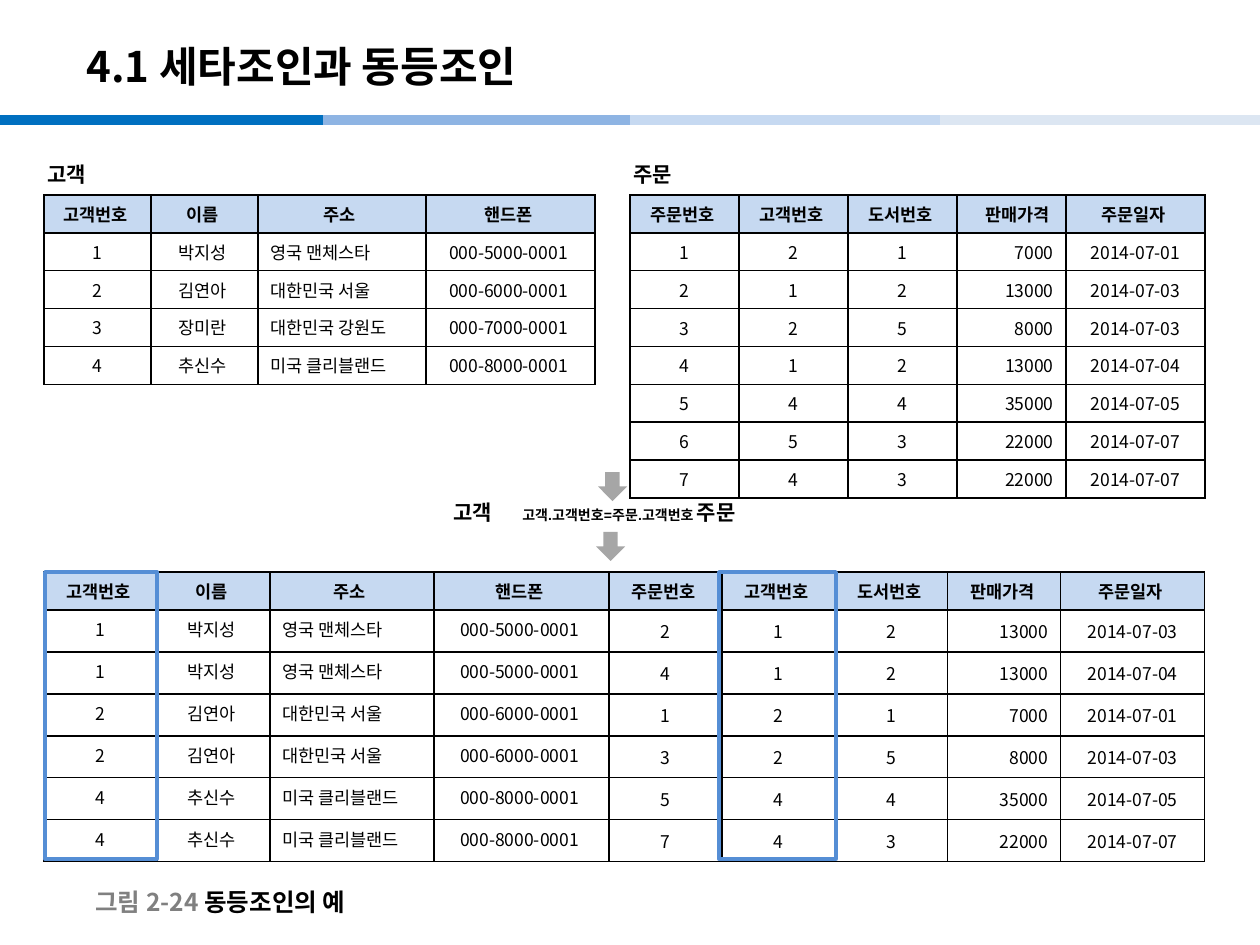
"""Builds the slide on theta join and equijoin."""
from lxml import etree
from pptx import Presentation
from pptx.dml.color import RGBColor
from pptx.enum.shapes import MSO_CONNECTOR, MSO_SHAPE
from pptx.enum.text import MSO_ANCHOR, MSO_AUTO_SIZE, PP_ALIGN
from pptx.oxml.ns import qn
from pptx.util import Pt

EMU = 914400 / 126
LINE, RECT, ARROW = MSO_CONNECTOR.STRAIGHT, MSO_SHAPE.RECTANGLE, MSO_SHAPE.DOWN_ARROW
TOP, MID = MSO_ANCHOR.TOP, MSO_ANCHOR.MIDDLE
GROW, FIXED = MSO_AUTO_SIZE.SHAPE_TO_FIT_TEXT, MSO_AUTO_SIZE.NONE
ALIGN = {"l": PP_ALIGN.LEFT, "c": PP_ALIGN.CENTER, "r": PP_ALIGN.RIGHT}
BLACK = RGBColor(0x00, 0x00, 0x00)
WHITE = RGBColor(0xFF, 0xFF, 0xFF)
GRAY = RGBColor(0x80, 0x80, 0x80)
SILVER = RGBColor(0xA6, 0xA6, 0xA6)
FRAME = RGBColor(0x55, 0x8E, 0xD5)
DEEP = RGBColor(0x00, 0x70, 0xC0)
BLUE = RGBColor(0x8E, 0xB4, 0xE3)
PALE = RGBColor(0xC6, 0xD9, 0xF1)
FAINT = RGBColor(0xDC, 0xE6, 0xF2)
NOTO, ARIAL = "Noto Sans CJK KR", "Arial"

CLIENT_HEAD = ("고객번호 ", "이름 ", "주소 ", "핸드폰 ")
CLIENTS = (
    ("1", "박지성 ", "영국 맨체스타", "000-5000-0001 "),
    ("2", "김연아 ", "대한민국 서울", "000-6000-0001 "),
    ("3", "장미란 ", "대한민국 강원도", "000-7000-0001 "),
    ("4", "추신수 ", "미국 클리블랜드", "000-8000-0001 "),
)
ORDER_HEAD = ("주문번호 ", "고객번호 ", "도서번호 ", "판매가격 ", "주문일자 ")
ORDERS = (
    ("1", "2", "1", "7000", "2014-07-01"),
    ("2", "1", "2", "13000", "2014-07-03"),
    ("3", "2", "5", "8000", "2014-07-03"),
    ("4", "1", "2", "13000", "2014-07-04"),
    ("5", "4", "4", "35000", "2014-07-05"),
    ("6", "5", "3", "22000", "2014-07-07"),
    ("7", "4", "3", "22000", "2014-07-07"),
)
JOINED = [who + buy for who in CLIENTS for buy in ORDERS if who[0] == buy[1]]


def px(*nums):
    """Turn px lengths into EMU."""
    return [round(num * EMU) for num in nums]


class Page:
    """Holds the style and the current slide."""

    def __init__(self, deck):
        """Add a blank slide."""
        self.slide = deck.slides.add_slide(deck.slide_layouts[6])
        self.shapes = self.slide.shapes

    def style(self, para, font, size=None, bold=True, color=None):
        """Set the font of a paragraph."""
        para.font.name = font
        para.font.bold = bold
        if size:
            para.font.size = Pt(size)
        if color is not None:
            para.font.color.rgb = color

    def text(self, box, runs, font, anchor=TOP, wrap=False, fit=FIXED, tab=None):
        """Add a bold line of (text, size, color) runs."""
        frame = self.shapes.add_textbox(*px(*box)).text_frame
        frame.word_wrap = wrap
        frame.auto_size = fit
        frame.vertical_anchor = anchor
        para = frame.paragraphs[0]
        if tab:
            stops = etree.SubElement(para._p.get_or_add_pPr(), qn("a:tabLst"))
            etree.SubElement(stops, qn("a:tab"), pos=str(px(tab)[0]), algn="l")
        sizes = {size for _, size, _ in runs}
        colors = {color for _, _, color in runs}
        one_size, one_color = len(sizes) == 1, len(colors) == 1
        self.style(para, font, runs[0][1] if one_size else None,
                   color=runs[0][2] if one_color else None)
        for words, size, color in runs:
            run = para.add_run()
            run.text = words
            if not one_size:
                run.font.size = Pt(size)
            if not one_color:
                run.font.color.rgb = color

    def line(self, left, right, y, color, width):
        """Add a level line."""
        line = self.shapes.add_connector(LINE, *px(left, y, right, y))
        line.line.color.rgb = color
        line.line.width = Pt(width)
        etree.SubElement(line._element.spPr, qn("a:effectLst"))

    def shape(self, kind, box, fill=None, edge=None):
        """Add a shape with a fill or an edge."""
        shape = self.shapes.add_shape(kind, *px(*box))
        shape.shadow.inherit = False
        if fill is None:
            shape.fill.background()
        else:
            shape.fill.solid()
            shape.fill.fore_color.rgb = fill
        if edge is None:
            shape.line.fill.background()
        else:
            shape.line.color.rgb = edge
            shape.line.width = Pt(2)

    def border(self, cell):
        """Draw thin black lines around a cell."""
        props = cell._tc.get_or_add_tcPr()
        for side in ("lnL", "lnR", "lnT", "lnB"):
            edge = etree.SubElement(props, qn(f"a:{side}"), w=str(Pt(1)))
            fill = etree.SubElement(edge, qn("a:solidFill"))
            etree.SubElement(fill, qn("a:srgbClr"), val=str(BLACK))

    def cell(self, cell, words, font, align, anchor, head):
        """Fill and style one cell."""
        self.border(cell)
        cell.fill.solid()
        cell.fill.fore_color.rgb = PALE if head else WHITE
        cell.vertical_anchor = anchor
        cell.text = words
        para = cell.text_frame.paragraphs[0]
        para.alignment = ALIGN[align]
        self.style(para, font, 10, head, BLACK)

    def table(self, spot, cols, high, head, body, aligns, heads, keys=(0,), tops=0):
        """Add a table; the first tops columns hang from the top."""
        rows = [head, *body]
        tall = [high[0]] + [high[1]] * len(body)
        box = px(*spot, sum(cols), sum(tall))
        grid = self.shapes.add_table(len(rows), len(cols), *box).table
        grid.first_row = grid.horz_banding = False
        for col, wide in zip(grid.columns, cols):
            col.width = px(wide)[0]
        for r, row in enumerate(rows):
            grid.rows[r].height = px(tall[r])[0]
            for c, words in enumerate(row):
                noto = c in keys if r == 0 else words.isascii()
                self.cell(grid.cell(r, c), words, NOTO if noto else ARIAL,
                          aligns[c] if r else heads[c],
                          TOP if r and c < tops else MID, r == 0)


def main():
    """Build and save the slide."""
    deck = Presentation()
    deck.slide_width, deck.slide_height = px(1260, 945)
    page = Page(deck)

    bars = ((0, 323, DEEP), (323, 645, BLUE), (630, 953, PALE), (940, 1260, FAINT))
    for left, right, color in bars:
        page.line(left, right, 120, color, 6)
    page.text((74, 28, 1042, 76), [("4.1 세타조인과 동등조인", 24, BLACK)],
              NOTO, MID, True)

    page.table((44, 195), (107, 107, 168, 169), (30, 30), CLIENT_HEAD, CLIENTS,
               "cclc", "cccc", tops=4)
    page.table((630, 195), (109, 109, 109, 109, 139), (31, 34), ORDER_HEAD, ORDERS,
               "cccrc", "cccrc")
    page.table((44, 572), (113, 113, 164, 175, 113, 113, 113, 113, 144), (26, 42),
               CLIENT_HEAD + ORDER_HEAD, JOINED, "cclccccrc", "c" * 9, (0, 4), 4)

    for left, name in ((35, "고객"), (621, "주문")):
        page.text((left, 155, 68, 38), [(name, 12, BLACK)], ARIAL, fit=GROW)
    for left, top in ((596, 532), (598, 472)):
        page.shape(ARROW, (left, top, 29, 29), fill=SILVER)
    page.text((441, 493, 340, 38),
              [("고객\t", 12, BLACK), ("고객.고객번호=주문.고객번호 ", 8, BLACK),
               ("주문", 12, BLACK)], ARIAL, fit=GROW, tab=69)
    for left, wide in ((45, 112), (719, 117)):
        page.shape(RECT, (left, 572, wide, 287), edge=FRAME)
    page.text((83, 882, 258, 39),
              [("그림 2-24 ", 14, GRAY), ("동등조인의 예", 14, BLACK)], NOTO, MID)
    deck.save("out.pptx")


if __name__ == "__main__":
    main()
